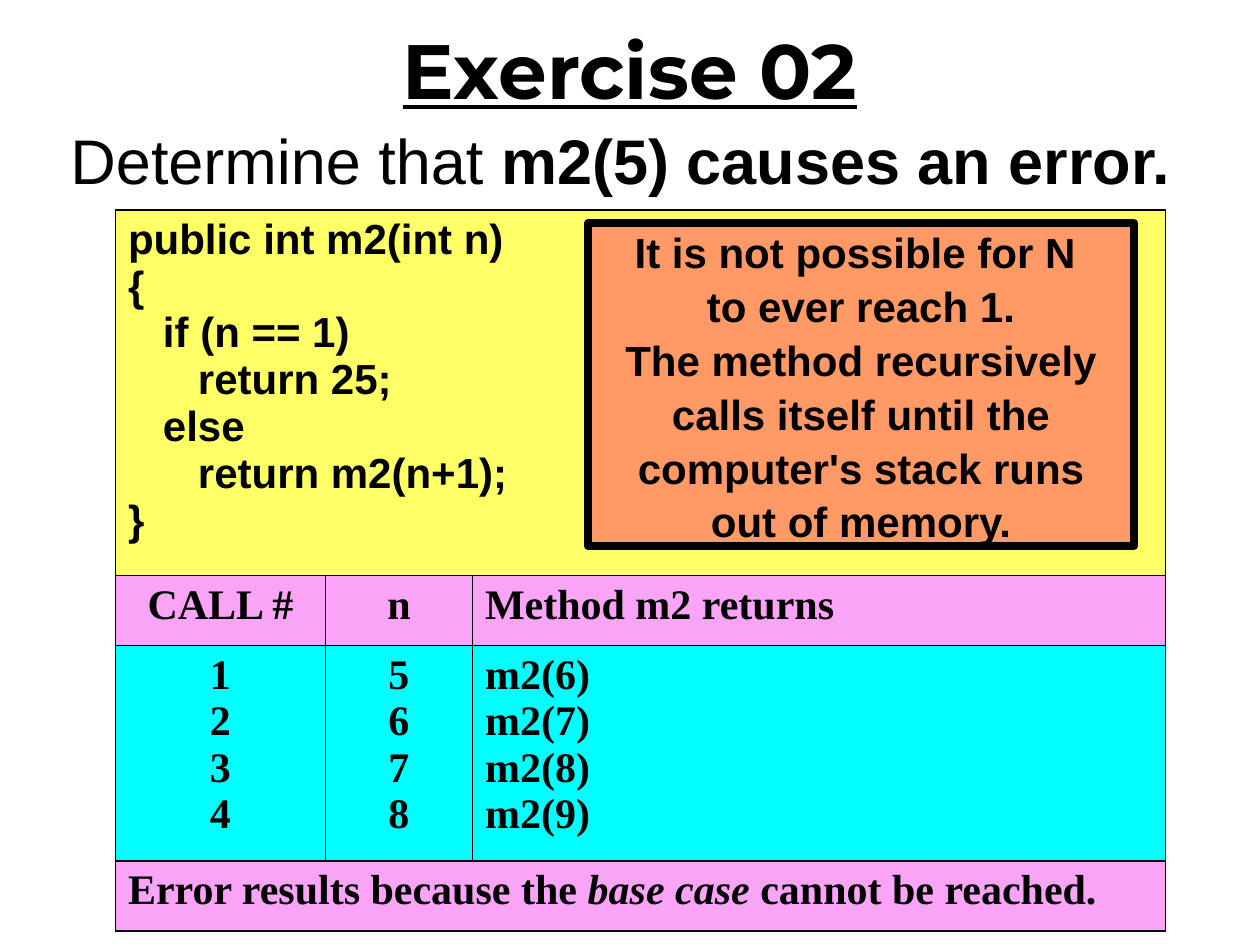
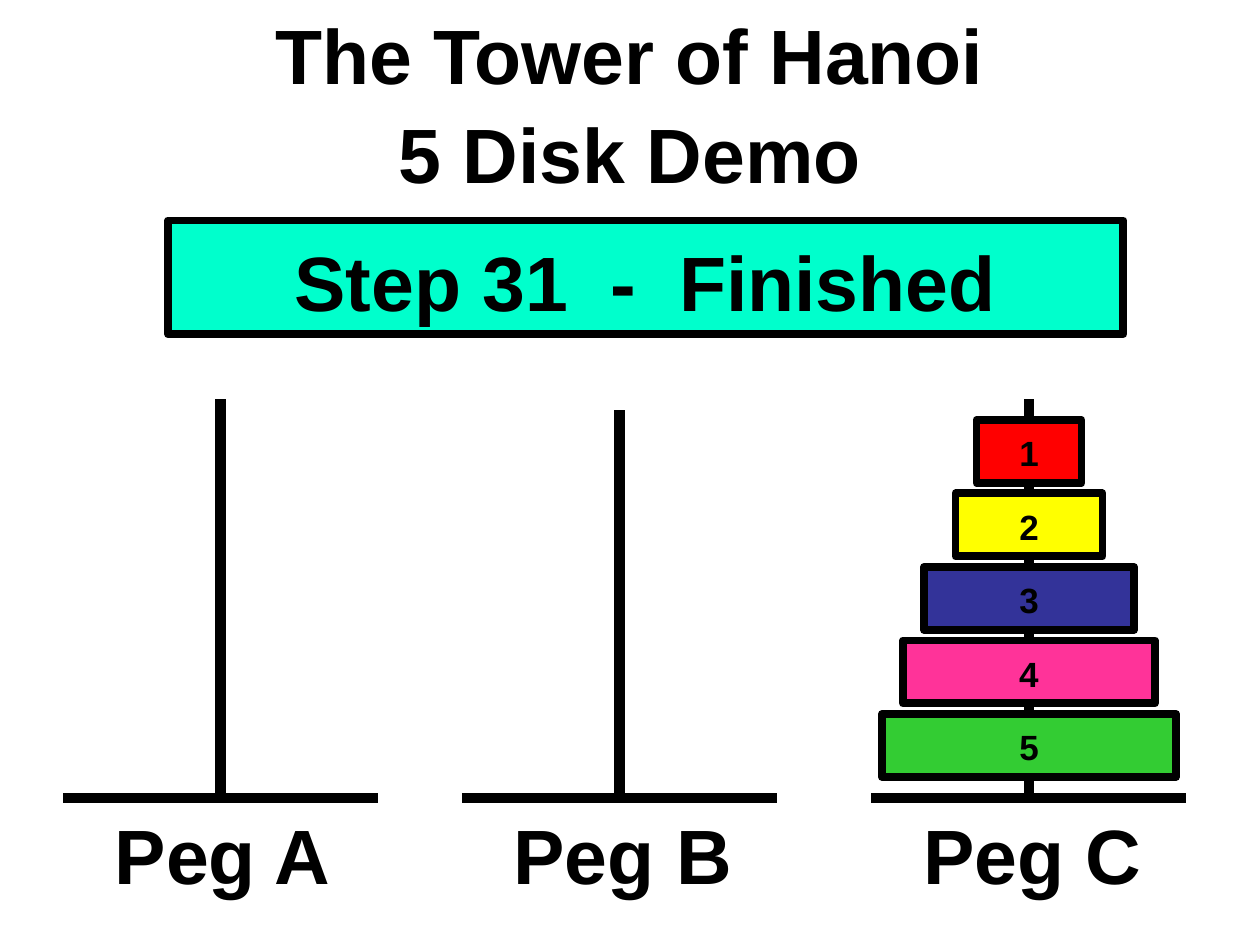
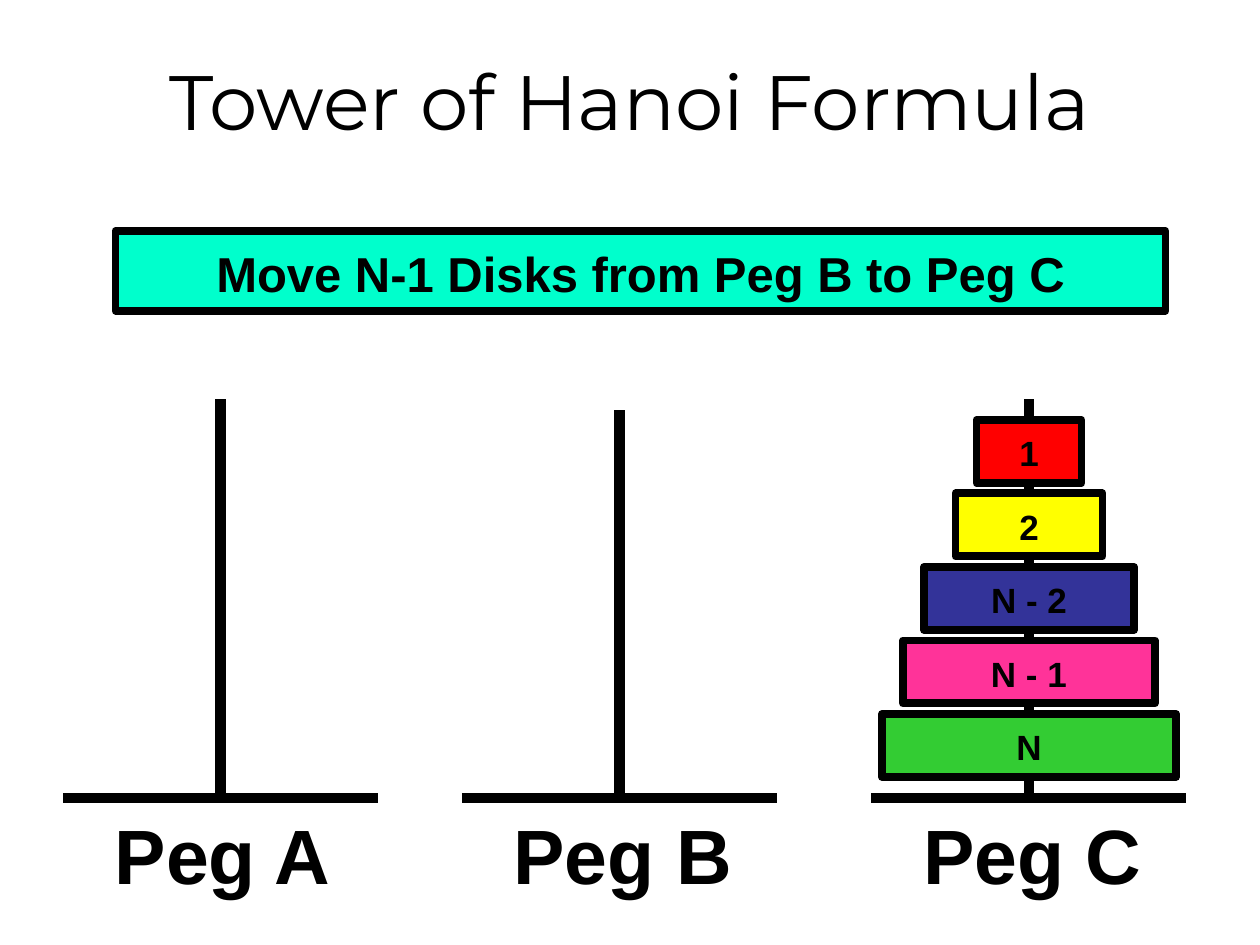
"""Build three recursion slides: an endless call and two Tower of Hanoi diagrams."""
import pptx
import pptx.dml.color
import pptx.enum.shapes
import pptx.enum.text
import pptx.oxml
import pptx.util

Pt = pptx.util.Pt
rgb = pptx.dml.color.RGBColor.from_string
ALIGN = pptx.enum.text.PP_ALIGN
MIDDLE = pptx.enum.text.MSO_ANCHOR.MIDDLE
RECT = pptx.enum.shapes.MSO_SHAPE.RECTANGLE
STRAIGHT = pptx.enum.shapes.MSO_CONNECTOR.STRAIGHT
NS = 'xmlns:a="http://schemas.openxmlformats.org/drawingml/2006/main"'

BLACK, YELLOW, PINK, CYAN = "000000", "FFFF66", "FAA4F8", "00FFFF"
ORANGE, BANNER = "FF9966", "00FFCC"
DISK_COLORS = ["FF0000", "FFFF00", "333399", "FF3399", "33CC33"]
DISK_WIDTHS = [60, 84, 120, 144, 168]
PEGS = [("Peg A", 126, 228), ("Peg B", 354, 234), ("Peg C", 588, 228)]
BASE_Y = 456


def write(tf, paragraphs, size, align=ALIGN.CENTER, font="Arial", spacing=None):
    """Fill a text frame; each paragraph is a list of (text, styles) runs."""
    for i, runs in enumerate(paragraphs):
        p = tf.add_paragraph() if i else tf.paragraphs[0]
        p.alignment = align
        p.line_spacing = spacing
        for text, styles in runs:
            for j, part in enumerate(text.split("\n")):
                if j:
                    p.add_line_break()
                if part:
                    r = p.add_run()
                    r.text = part
                    r.font.size = Pt(styles.get("size", size))
                    r.font.name = styles.get("font", font)
                    r.font.bold = styles.get("bold", True)
                    r.font.italic = styles.get("italic")
                    r.font.underline = styles.get("underline")
                    r.font.color.rgb = rgb(BLACK)


def box(s, x, y, w, h, paragraphs, size, fill=None, spacing=1.07):
    """Add a framed box, or a plain text box when there is no fill."""
    if fill:
        sp = s.shapes.add_shape(RECT, Pt(x), Pt(y), Pt(w), Pt(h))
        sp.shadow.inherit = False
        sp.fill.solid()
        sp.fill.fore_color.rgb = rgb(fill)
        sp.line.color.rgb = rgb(BLACK)
        sp.line.width = Pt(4.5)
    else:
        sp = s.shapes.add_textbox(Pt(x), Pt(y), Pt(w), Pt(h))
    tf = sp.text_frame
    tf.word_wrap = True
    tf.vertical_anchor = MIDDLE
    write(tf, paragraphs, size, spacing=spacing)
    return sp


prs = pptx.Presentation()
prs.slide_width, prs.slide_height = Pt(720), Pt(540)
blank = prs.slide_layouts[6]

s = prs.slides.add_slide(blank)
box(s, 0, 18, 720, 90, [[
    ("Exercise 02\n", {"font": "Montserrat", "underline": True}),
    ("Determine that ", {"size": 36, "bold": False}),
    ("m2(5) causes an error.", {"size": 36}),
    (" ", {"size": 40, "bold": False}),
]], 44, spacing=1.0)

CODE = """public int m2(int n)
{
   if (n == 1)
      return 25;
   else
      return m2(n+1);
}"""
calls = range(1, 5)
rows = [
    (209, YELLOW, [CODE.split("\n")]),
    (40, PINK, [["CALL #"], ["n"], ["Method m2 returns"]]),
    (123, CYAN, [[str(n) for n in calls], [str(n + 4) for n in calls],
                 [f"m2({n + 5})" for n in calls]]),
    (40, PINK, [[]]),
]
tbl = s.shapes.add_table(4, 3, Pt(66), Pt(120), Pt(600), Pt(412)).table
for col, width in zip(tbl.columns, [120, 84, 396]):
    col.width = Pt(width)
for i, (height, fill, texts) in enumerate(rows):
    tbl.rows[i].height = Pt(height)
    if len(texts) == 1:
        tbl.cell(i, 0).merge(tbl.cell(i, 2))
    for j in range(3):
        cell = tbl.cell(i, j)
        tcPr = cell._tc.get_or_add_tcPr()
        for side in ("lnL", "lnR", "lnT", "lnB"):
            tcPr.append(pptx.oxml.parse_xml(
                f'<a:{side} {NS} w="12700"><a:solidFill><a:srgbClr val="{BLACK}"/>'
                f'</a:solidFill></a:{side}>'))
        cell.fill.solid()
        cell.fill.fore_color.rgb = rgb(fill)
    for j, lines in enumerate(texts):
        centered = len(texts) == 3 and j < 2
        write(tbl.cell(i, j).text_frame, [[(line, {})] for line in lines], 24,
              ALIGN.CENTER if centered else ALIGN.LEFT,
              "Arial" if fill == YELLOW else "Times New Roman")
write(tbl.cell(3, 0).text_frame, [[
    ("Error results because the ", {}),
    ("base case ", {"italic": True}),
    ("cannot be reached.", {}),
]], 24, ALIGN.LEFT, "Times New Roman")

box(s, 336, 127.5, 312, 184.5, [[(line, {})] for line in [
    "It is not possible for N ",
    "to ever reach 1.",
    "The method recursively calls itself until the",
    "computer's stack runs out of memory.",
]], 24, ORANGE)

towers = [
    (("The Tower of Hanoi\n5 Disk Demo", {}), 1.07,
     "Step 31  -  Finished", 44, (96, 126, 546, 65), ["1", "2", "3", "4", "5"]),
    (("Tower of Hanoi Formula", {"font": "Montserrat", "bold": False}), 1.0,
     "Move N-1 Disks from Peg B to Peg C", 28, (66, 132, 600, 45.5),
     ["1", "2", "N - 2", "N - 1", "N"]),
]
for title, spacing, step, step_size, banner, disks in towers:
    s = prs.slides.add_slide(blank)
    box(s, 0, 12, 720, 90, [[title]], 44, spacing=spacing)
    box(s, *banner, [[(step, {})]], step_size, BANNER)
    for name, x, top in PEGS:
        for x1, x2, y2 in [(x - 90, x + 90, BASE_Y), (x, x, top)]:
            c = s.shapes.add_connector(STRAIGHT, Pt(x1), Pt(BASE_Y), Pt(x2), Pt(y2))
            c.line.color.rgb = rgb(BLACK)
            c.line.width = Pt(6)
            c._element.spPr.append(pptx.oxml.parse_xml(f"<a:effectLst {NS}/>"))
        sp = box(s, x - 67.5, BASE_Y, 139, 60, [[(name, {})]], 44)
        sp.text_frame.word_wrap = False
        sp.text_frame.paragraphs[0].alignment = ALIGN.LEFT
    peg_c = PEGS[2][1]
    for i, (label, width, color) in enumerate(zip(disks, DISK_WIDTHS, DISK_COLORS)):
        box(s, peg_c - width / 2, 240 + 42 * i, width, 36, [[(label, {})]], 20, color)

prs.save("out.pptx")
